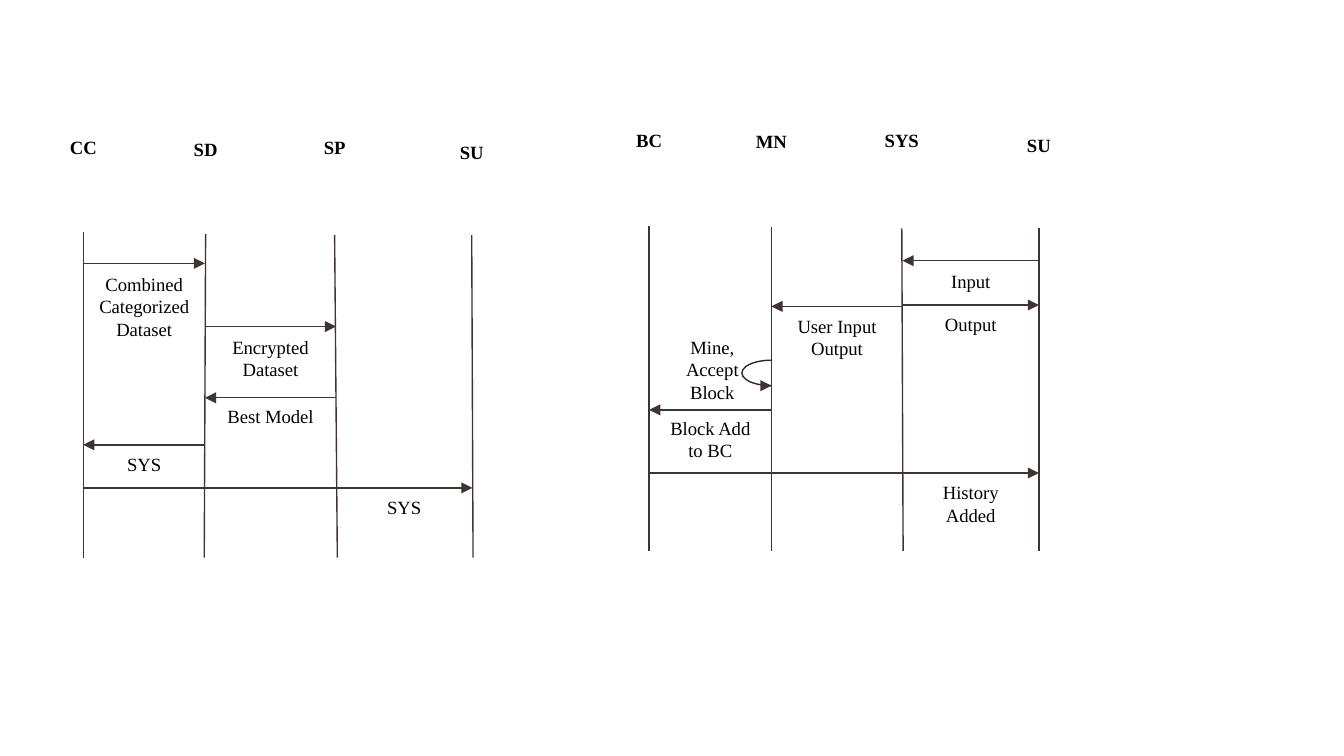
from lxml.etree import SubElement
from pptx import Presentation
from pptx.dml.color import RGBColor
from pptx.enum.shapes import MSO_CONNECTOR, MSO_SHAPE
from pptx.enum.text import MSO_AUTO_SIZE, PP_ALIGN
from pptx.oxml.ns import qn
from pptx.util import Inches, Pt

INK = "3E3432"
FONT = "Times New Roman"

CHARTS = [
    {
        "lanes": [("CC", 0.62, 0.62, 0.96, 1.73), ("SD", 1.53, 1.52, 0.98, 1.74),
                  ("SP", 2.49, 2.51, 0.96, 1.75), ("SU", 3.51, 3.52, 1.0, 1.75)],
        "foot": 4.15,
        "calls": [("Combined Categorized Dataset", 0, 1, 1.96, 0, 1.98, 3),
                  ("Encrypted Dataset", 1, 2, 2.43, 1, 2.45, 2),
                  ("Best Model", 2, 1, 2.96, 1, 2.96, 1),
                  ("SYS", 1, 0, 3.31, 0, 3.32, 1),
                  ("SYS", 0, 3, 3.63, 2, 3.64, 1)],
    },
    {
        "lanes": [("BC", 4.83, 4.83, 0.91, 1.68), ("MN", 5.74, 5.74, 0.92, 1.69),
                  ("SYS", 6.71, 6.72, 0.91, 1.7), ("SU", 7.73, 7.73, 0.95, 1.7)],
        "foot": 4.1,
        "calls": [("Input", 3, 2, 1.94, 2, 1.96, 1),
                  ("User Input Output", 2, 1, 2.28, 1, 2.29, 2),
                  ("Output", 2, 3, 2.27, 2, 2.28, 1),
                  ("Block Add to BC", 1, 0, 3.05, 0, 3.05, 2),
                  ("History Added", 0, 3, 3.52, 2, 3.53, 2)],
    },
]
LOOP = ("Mine, Accept Block", 5.3, 2.45, 0.82, 3)


def tint(code):
    return RGBColor.from_string(code)


def write(slide, text, mid, top, wide, rows=1, bold=False, size=10, color="000000"):
    box = slide.shapes.add_textbox(Inches(mid - wide / 2), Inches(top),
                                   Inches(wide), Inches(0.1 + 0.17 * rows))
    frame = box.text_frame
    frame.word_wrap = True
    frame.auto_size = MSO_AUTO_SIZE.SHAPE_TO_FIT_TEXT
    para = frame.paragraphs[0]
    para.alignment = PP_ALIGN.CENTER
    run = para.add_run()
    run.text = text
    run.font.name = FONT
    run.font.size = Pt(size)
    run.font.bold = bold
    run.font.color.rgb = tint(color)


def draw(slide, x1, y1, x2, y2, head=False):
    line = slide.shapes.add_connector(MSO_CONNECTOR.STRAIGHT, Inches(x1), Inches(y1),
                                      Inches(x2), Inches(y2))
    line.line.color.rgb = tint(INK)
    line.line.width = Pt(0.75)
    props = line._element.spPr
    if head:
        SubElement(props.find(qn("a:ln")), qn("a:tailEnd"), type="triangle")
    SubElement(props, qn("a:effectLst"))


def chart(slide, lanes, foot, calls):
    for name, x1, x2, top, start in lanes:
        draw(slide, x1, start, x2, foot)
        write(slide, name, x1, top, 0.5, bold=True)
    mids = [(x1 + x2) / 2 for _, x1, x2, _, _ in lanes]
    for text, start, end, y, gap, top, rows in calls:
        draw(slide, mids[start], y, mids[end], y, head=True)
        left, right = mids[gap:gap + 2]
        write(slide, text, (left + right) / 2, top, right - left - 0.01, rows)


def loop(slide):
    arc = slide.shapes.add_shape(MSO_SHAPE.CURVED_RIGHT_ARROW, Inches(5.52), Inches(2.68),
                                 Inches(0.22), Inches(0.19))
    for i, value in enumerate((0.25, 0, 0.214)):
        arc.adjustments[i] = value
    arc.shadow.inherit = False
    arc.fill.background()
    arc.line.color.rgb = tint("2F2726")
    arc.line.width = Pt(0.75)
    draw(slide, 5.73, 2.87, 5.74, 2.87, head=True)
    write(slide, *LOOP)


def main():
    deck = Presentation()
    deck.slide_width = Inches(10)
    deck.slide_height = Inches(10 * 9 / 16)
    slide = deck.slides.add_slide(deck.slide_layouts[6])
    for data in CHARTS:
        chart(slide, **data)
    loop(slide)
    deck.save("out.pptx")


if __name__ == "__main__":
    main()
